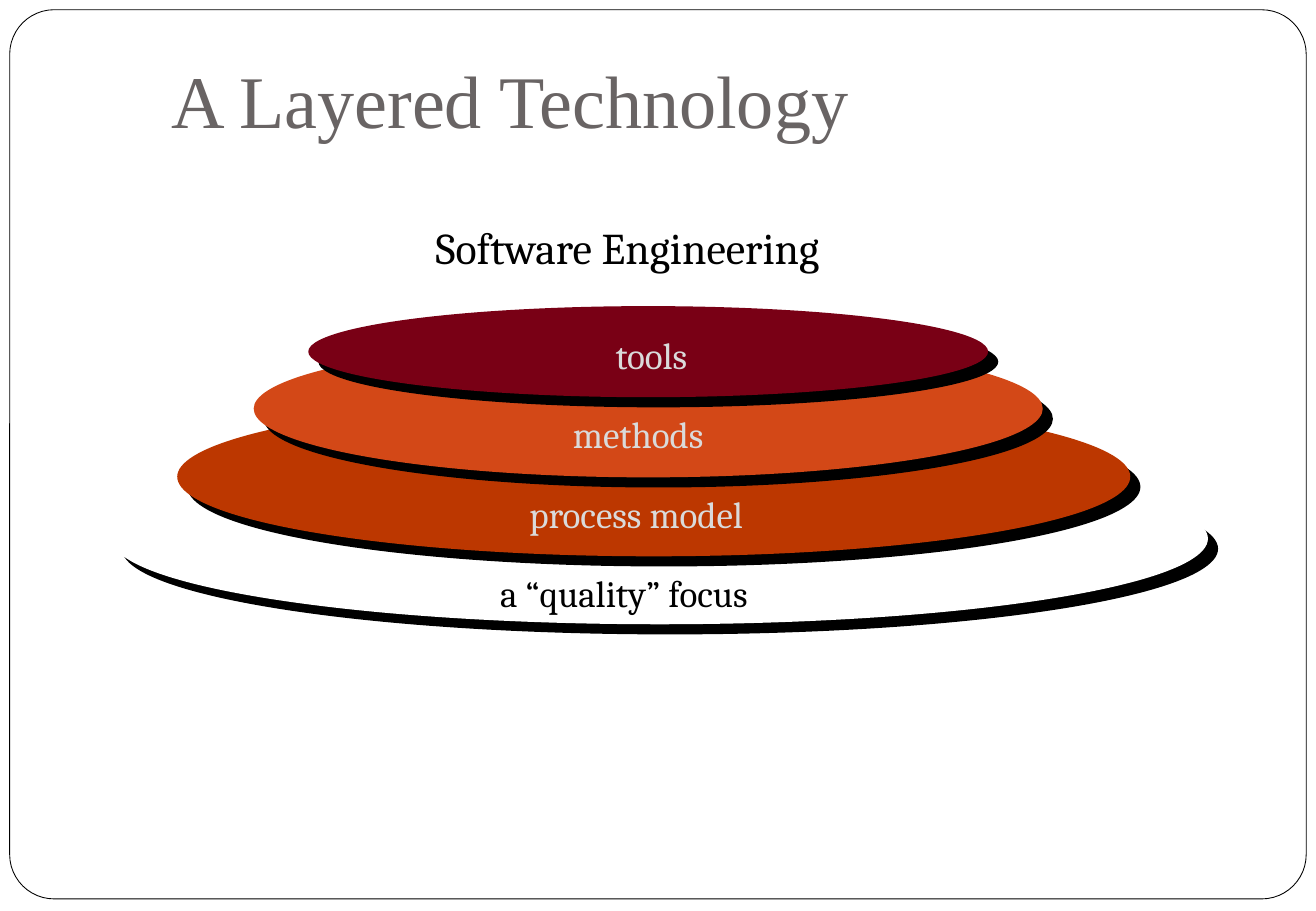
"""Build the layered technology slide: four stacked ellipses under a heading."""
from pptx import Presentation
from pptx.dml.color import RGBColor
from pptx.enum.shapes import MSO_SHAPE
from pptx.enum.text import MSO_ANCHOR, MSO_AUTO_SIZE, PP_ALIGN
from pptx.oxml import parse_xml
from pptx.oxml.ns import nsdecls
from pptx.util import Inches, Pt

COLORS = {
    "white": "FFFFFF", "black": "000000", "title": "696464", "label": "DADADA",
    "quality": "FFFFFF", "process": "BC3700", "methods": "D34817", "tools": "790015",
}
SHADOW = (
    f'<a:outerShdw {nsdecls("a")} dist="{Pt(8.5)}" dir="2700000" algn="ctr" rotWithShape="0">'
    f'<a:srgbClr val="{COLORS["black"]}"/></a:outerShdw>'
)

prs = Presentation()
prs.slide_width, prs.slide_height = Inches(10.84), Inches(7.5)
COL, ROW = prs.slide_width / 100, prs.slide_height / 100
slide = prs.slides.add_slide(prs.slide_layouts[5])


def box(x, y, w, h):
    """Turn grid columns and rows into lengths."""
    return [round(n * unit) for n, unit in ((x, COL), (y, ROW), (w, COL), (h, ROW))]


def write(sp, text, size, font, color, insets, **frame):
    """Put one formatted line of text in a shape."""
    tf = sp.text_frame
    side, end = (Inches(n) for n in insets)
    frame |= {"margin_left": side, "margin_right": side, "margin_top": end,
              "margin_bottom": end, "vertical_anchor": MSO_ANCHOR.TOP}
    for name, value in frame.items():
        setattr(tf, name, value)
    p = tf.paragraphs[0]
    p.alignment = PP_ALIGN.LEFT
    r = p.add_run()
    r.text = text
    for name, value in {"size": Pt(size), "name": font}.items():
        setattr(r.font, name, value)
    r.font.color.rgb = RGBColor.from_string(COLORS[color])


title = slide.shapes.title
title.left, title.top, title.width, title.height = box(12.27, 5.6, 53.41, 20.4)
write(title, "A Layered Technology", 44, "Times New Roman", "title", (0.08, 0.03),
      word_wrap=True, auto_size=MSO_AUTO_SIZE.NONE)

frame = slide.shapes.add_shape(MSO_SHAPE.ROUNDED_RECTANGLE, *box(0.74, 1.07, 98.52, 97.6))
frame.adjustments[0] = 0.05
frame.shadow.inherit = False
frame.fill.solid()
frame.fill.fore_color.rgb = RGBColor.from_string(COLORS["white"])
frame.line.color.rgb = RGBColor.from_string(COLORS["black"])
frame.line.width = Pt(0.5)
title.element.addprevious(frame.element)

layers = [
    ("quality", 8.49, 49.73, 83.3, 18.8),
    ("process", 13.47, 43.6, 72.42, 17.47),
    ("methods", 19.28, 37.33, 59.96, 15.07),
    ("tools", 23.43, 33.6, 51.66, 10),
]
for color, *place in layers:
    sp = slide.shapes.add_shape(MSO_SHAPE.OVAL, *box(*place))
    sp.fill.solid()
    sp.fill.fore_color.rgb = RGBColor.from_string(COLORS[color])
    sp.line.fill.background()
    sp.shadow.inherit = False
    sp.element.spPr.find("{*}effectLst").append(parse_xml(SHADOW))

LABEL_TOP, LABEL_STEP, LABEL_HEIGHT = 62, 8.73, 6.27
labels = [
    ("a “quality” focus", "black", 36.99, 23.06),
    ("process model", "label", 39.21, 19.93),
    ("methods", "label", 42.53, 12.82),
    ("tools", "label", 45.76, 8.03),
]
texts = [("Software Engineering", 26, "black", (32.1, 23.6, 34.04, 7.2))]
for i, (text, color, x, w) in enumerate(labels):
    texts.append((text, 22, color, (x, LABEL_TOP - i * LABEL_STEP, w, LABEL_HEIGHT)))
for text, size, color, place in texts:
    sp = slide.shapes.add_textbox(*box(*place))
    write(sp, text, size, "Cambria", color, (0.11, 0.05),
          word_wrap=False, auto_size=MSO_AUTO_SIZE.SHAPE_TO_FIT_TEXT)

prs.save("out.pptx")
